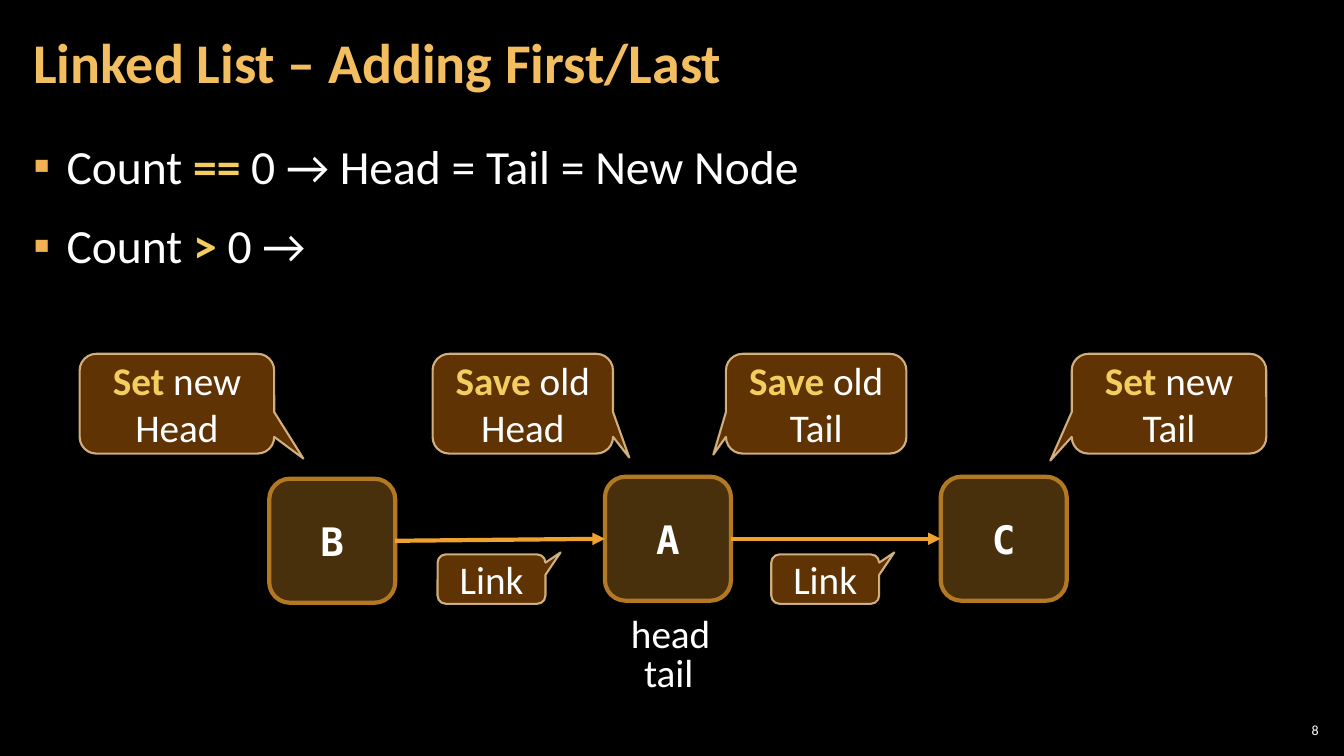
from lxml import etree
from pptx import Presentation
from pptx.dml.color import RGBColor
from pptx.enum.shapes import MSO_CONNECTOR, MSO_SHAPE
from pptx.enum.text import MSO_ANCHOR, MSO_AUTO_SIZE, PP_ALIGN
from pptx.oxml.ns import qn
from pptx.util import Inches, Pt

ROUNDED = MSO_SHAPE.ROUNDED_RECTANGLE
CALLOUT = MSO_SHAPE.ROUNDED_RECTANGULAR_CALLOUT
STRAIGHT = MSO_CONNECTOR.STRAIGHT
MIDDLE = MSO_ANCHOR.MIDDLE
TOP = MSO_ANCHOR.TOP
LEFT = PP_ALIGN.LEFT
CENTER = PP_ALIGN.CENTER
RIGHT = PP_ALIGN.RIGHT
NO_AUTOFIT = MSO_AUTO_SIZE.NONE

BODY_FONT = "Calibri"
CODE_FONT = "DejaVu Sans Mono"
WHITE = "FFFFFF"
GOLD = "F3CD60"
ORANGE = "F0A22E"
LEFT_SITE, RIGHT_SITE = 1, 3


def color(value):
    return RGBColor.from_string(value)


def set_alpha(fill_format, percent):
    solid = fill_format._xPr.find(qn("a:solidFill"))
    alpha = etree.SubElement(solid[0], qn("a:alpha"))
    alpha.set("val", str(percent * 1000))


def add_span(para, text, size, fill=WHITE, bold=False, font=BODY_FONT):
    span = para.add_run()
    span.text = text
    span.font.name = font
    span.font.size = Pt(size)
    span.font.bold = bold
    span.font.color.rgb = color(fill)


def set_frame(shape, anchor, side=0.1, edge=0.05, wrap=True):
    frame = shape.text_frame
    frame.auto_size = NO_AUTOFIT
    frame.word_wrap = wrap
    frame.vertical_anchor = anchor
    frame.margin_left = frame.margin_right = Inches(side)
    frame.margin_top = frame.margin_bottom = Inches(edge)
    return frame


def add_box(page, left, top, width, height):
    return page.shapes.add_textbox(
        Inches(left), Inches(top), Inches(width), Inches(height))


def add_title(page, text):
    title = page.shapes.title
    title.left, title.top = Inches(0.21), Inches(0.04)
    title.width, title.height = Inches(10.47), Inches(1.21)
    para = set_frame(title, MIDDLE, 0.12, 0.04).paragraphs[0]
    para.alignment = LEFT
    para.line_spacing = 0.9
    add_span(para, text, 40, "F3BE60", True)


def add_bullet(para):
    properties = para._p.get_or_add_pPr()
    properties.set("marL", str(Inches(0.33)))
    properties.set("indent", str(-Inches(0.33)))
    bullet_color = etree.SubElement(properties, qn("a:buClr"))
    etree.SubElement(bullet_color, qn("a:srgbClr")).set("val", "F2B254")
    etree.SubElement(properties, qn("a:buFont")).set("typeface", BODY_FONT)
    etree.SubElement(properties, qn("a:buChar")).set("char", "▪")


def add_cases(page, cases):
    frame = set_frame(add_box(page, 0.21, 1.26, 12.91, 6.09), TOP, 0.12, 0.04)
    for index, (operator, result) in enumerate(cases):
        para = frame.add_paragraph() if index else frame.paragraphs[0]
        add_bullet(para)
        para.line_spacing = 1.1
        para.space_before = Pt(6 if index else 0)
        para.space_after = Pt(6)
        add_span(para, "Count ", 34)
        add_span(para, operator, 34, GOLD, True)
        add_span(para, result, 34)


def add_label(page, text, left, top, width):
    box = add_box(page, left, top, width, 0.57)
    para = set_frame(box, TOP, wrap=False).paragraphs[0]
    add_span(para, text, 28)


def add_page_number(page, number):
    box = add_box(page, 12.65, 7.14, 0.47, 0.21)
    para = set_frame(box, MIDDLE, 0.04, 0.04).paragraphs[0]
    para.alignment = RIGHT
    add_span(para, number, 10)


def add_panel(page, kind, place, fill, fill_alpha, line, line_width):
    shape = page.shapes.add_shape(kind, *[Inches(value) for value in place])
    shape.shadow.inherit = False
    shape.fill.solid()
    shape.fill.fore_color.rgb = color(fill)
    set_alpha(shape.fill, fill_alpha)
    shape.line.color.rgb = color(line)
    shape.line.width = Pt(line_width)
    para = set_frame(shape, MIDDLE).paragraphs[0]
    para.alignment = CENTER
    return shape, para


def add_node(page, letter, left, top):
    node, para = add_panel(page, ROUNDED, (left, top, 1.25, 1.23),
                           ORANGE, 30, "B27822", 3)
    add_span(para, letter, 28, WHITE, True, CODE_FONT)
    return node


def add_callout(page, place, pointer, keyword, rest):
    callout, para = add_panel(page, CALLOUT, place,
                              "663606", 95, "F8D49E", 1.5)
    set_alpha(callout.line.fill, 80)
    callout.adjustments[0], callout.adjustments[1] = pointer
    if keyword:
        add_span(para, keyword, 28, GOLD, True)
    add_span(para, rest, 28)


def add_link(page, source, target):
    link = page.shapes.add_connector(STRAIGHT, 0, 0, 0, 0)
    link.begin_connect(source, RIGHT_SITE)
    link.end_connect(target, LEFT_SITE)
    link.line.color.rgb = color(ORANGE)
    link.line.width = Pt(3)
    etree.SubElement(link.line._get_or_add_ln(),
                     qn("a:tailEnd")).set("type", "triangle")
    etree.SubElement(link._element.spPr, qn("a:effectLst"))


def main():
    deck = Presentation()
    deck.slide_width, deck.slide_height = Inches(13.33), Inches(7.5)
    page = deck.slides.add_slide(deck.slide_layouts[5])
    page.background.fill.solid()
    page.background.fill.fore_color.rgb = color("000000")

    add_title(page, "Linked List – Adding First/Last")
    add_cases(page, [("==", " 0 → Head = Tail = New Node"), (">", " 0 →")])

    node_b = add_node(page, "B", 2.67, 4.75)
    node_a = add_node(page, "A", 6, 4.73)
    node_c = add_node(page, "C", 9.33, 4.73)
    add_link(page, node_b, node_a)
    add_link(page, node_a, node_c)

    for left, width, pointer, keyword, rest in [
        (0.79, 1.93, (0.65, 0.55), "Set", " new Head"),
        (4.29, 1.79, (0.59, 0.54), "Save", " old Head"),
        (7.2, 1.79, (-0.57, 0.51), "Save", " old Tail"),
        (10.63, 1.93, (-0.61, 0.57), "Set", " new Tail"),
    ]:
        add_callout(page, (left, 3.51, width, 0.99), pointer, keyword, rest)
    for left in (4.34, 7.65):
        add_callout(page, (left, 5.5, 1.07, 0.49), (0.64, -0.54), "", "Link")

    add_label(page, "head", 6.16, 6, 1)
    add_label(page, "tail", 6.29, 6.38, 0.7)
    add_page_number(page, "8")
    deck.save("out.pptx")


if __name__ == "__main__":
    main()
